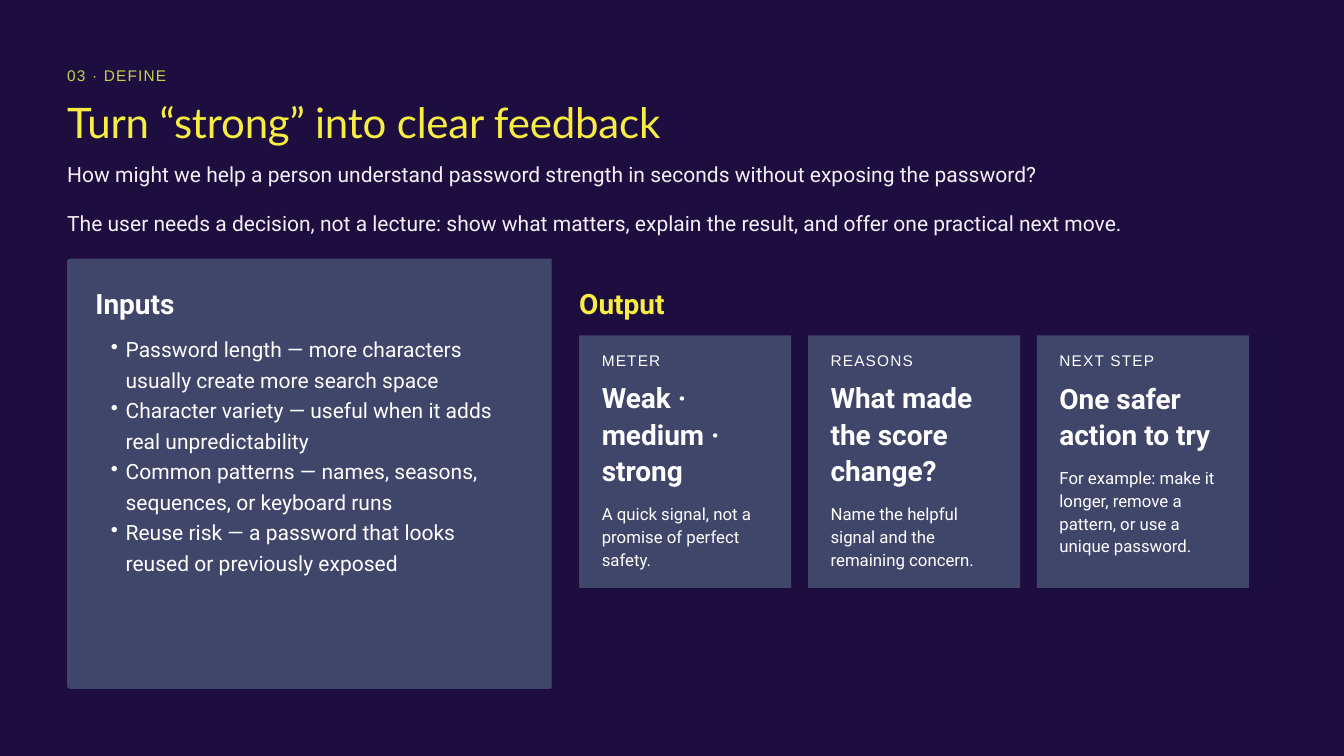
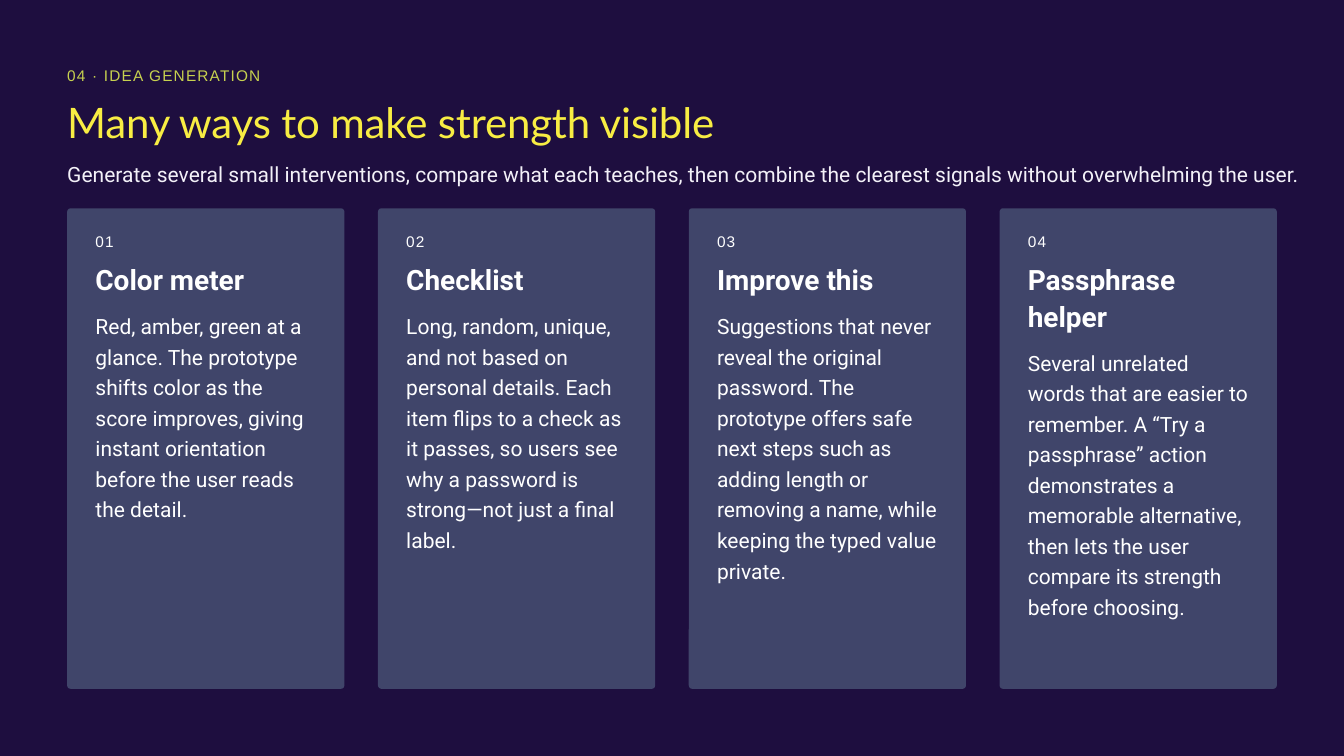
import pptx
import pptx.util
import pptx.dml.color
import pptx.enum.shapes
import pptx.enum.text
import lxml.etree
from pptx.oxml.ns import qn

Inches = pptx.util.Inches
Pt = pptx.util.Pt
Shape = pptx.enum.shapes.MSO_SHAPE
Color = pptx.dml.color.RGBColor.from_string

NIGHT, SLATE, YELLOW = "1E0E3F", "40456A", "F8ED43"
LIME, PALE, WHITE = "C7D14F", "F3F1F8", "FFFFFF"

LABEL = dict(size=16.5, font="Arial", lead=19.8, track=130)
TITLE = dict(size=45, font="Lato", lead=47.5, track=-20, color=YELLOW)
HEAD = dict(size=30, lead=38.9, bold=True)
BODY = dict(size=22.5, lead=32.7)
SMALL = dict(size=18, lead=24.4)


def write(slide, text, left, top, width, height, size, lead, font="Roboto",
          color=WHITE, bold=False, track=0, bullet=False):
    box = slide.shapes.add_textbox(Inches(left), Inches(top), Inches(width), Inches(height))
    frame = box.text_frame
    frame.word_wrap = True
    frame.auto_size = pptx.enum.text.MSO_AUTO_SIZE.SHAPE_TO_FIT_TEXT
    frame.margin_left = frame.margin_right = frame.margin_top = frame.margin_bottom = 0
    frame.text = text
    for para in frame.paragraphs:
        para.line_spacing = Pt(lead)
        if bullet:
            para.level = 1
            props = para._p.get_or_add_pPr()
            props.set("marL", str(Inches(0.45)))
            props.set("indent", str(Inches(-0.22)))
            lxml.etree.SubElement(props, qn("a:buChar")).set("char", "•")
        for run in para.runs:
            run.font.size = Pt(size)
            run.font.name = font
            run.font.bold = bold
            run.font.color.rgb = Color(color)
            if track:
                run._r.get_or_add_rPr().set("spc", str(track))


def panel(slide, left, top, width, height, round=0):
    kind = Shape.ROUNDED_RECTANGLE if round else Shape.RECTANGLE
    shape = slide.shapes.add_shape(kind, Inches(left), Inches(top), Inches(width), Inches(height))
    if round:
        shape.adjustments[0] = round / min(width, height)
    shape.shadow.inherit = False
    shape.fill.solid()
    shape.fill.fore_color.rgb = Color(SLATE)
    shape.line.fill.background()


deck = pptx.Presentation()
deck.slide_width = Inches(20)
deck.slide_height = Inches(11.25)

pages = [
    ("03 · DEFINE", "Turn “strong” into clear feedback", [
        "How might we help a person understand password strength in seconds without exposing the password?",
        "The user needs a decision, not a lecture: show what matters, explain the result, and offer one practical next move.",
    ]),
    ("04 · IDEA GENERATION", "Many ways to make strength visible", [
        "Generate several small interventions, compare what each teaches, then combine the clearest signals without overwhelming the user.",
    ]),
]
slides = []
for label, title, intro in pages:
    slide = deck.slides.add_slide(deck.slide_layouts[6])
    slide.background.fill.solid()
    slide.background.fill.fore_color.rgb = Color(NIGHT)
    write(slide, label, 1, 0.98, 19, 0.3, color=LIME, **LABEL)
    write(slide, title, 1, 1.52, 18, 0.58, **TITLE)
    for row, text in enumerate(intro):
        write(slide, text, 1, 2.32 + 0.73 * row, 19, 0.52, color=PALE, **BODY)
    slides.append(slide)
define, ideas = slides

inputs = [
    "Password length — more characters usually create more search space",
    "Character variety — useful when it adds real unpredictability",
    "Common patterns — names, seasons, sequences, or keyboard runs",
    "Reuse risk — a password that looks reused or previously exposed",
]
panel(define, 1, 3.85, 7.2, 6.4, round=0.04)
panel(define, 8.15, 3.85, 0.06, 6.4)
write(define, "Inputs", 1.42, 4.22, 6.37, 0.58, **HEAD)
write(define, "\n".join(inputs), 1.42, 4.93, 6.37, 3.92, bullet=True, **BODY)
write(define, "Output", 8.62, 4.22, 9.97, 0.58, **{**HEAD, "color": YELLOW})

outputs = [
    ("METER", "Weak · medium · strong", 3, "A quick signal, not a promise of perfect safety.", 3),
    ("REASONS", "What made the score change?", 3, "Name the helpful signal and the remaining concern.", 3),
    ("NEXT STEP", "One safer action to try", 2,
     "For example: make it longer, remove a pattern, or use a unique password.", 4),
]
wide, gap = 3.155, 0.25
for col, (label, head, rows, text, lines) in enumerate(outputs):
    left = 8.62 + col * (wide + gap)
    inner = left + 0.335
    panel(define, left, 4.99, wide, 3.76)
    write(define, label, inner, 5.22, 2.82, 0.3, **LABEL)
    write(define, head, inner, 5.63, 2.49, 0.04 + 0.54 * rows, **HEAD)
    write(define, text, inner, 5.84 + 0.54 * rows, 2.49, 0.03 + 0.34 * lines, **SMALL)

cards = [
    ("Color meter", 1,
     "Red, amber, green at a glance. The prototype shifts color as the score improves, "
     "giving instant orientation before the user reads the detail.", 6),
    ("Checklist", 1,
     "Long, random, unique, and not based on personal details. Each item flips to a check "
     "as it passes, so users see why a password is strong—not just a final label.", 8),
    ("Improve this", 1,
     "Suggestions that never reveal the original password. The prototype offers safe next "
     "steps such as adding length or removing a name, while keeping the typed value private.", 9),
    ("Passphrase helper", 2,
     "Several unrelated words that are easier to remember. A “Try a passphrase” action "
     "demonstrates a memorable alternative, then lets the user compare its strength "
     "before choosing.", 9),
]
gap = 0.5
wide = (18 - 3 * gap) / 4
for col, (head, rows, text, lines) in enumerate(cards):
    left = 1 + col * (wide + gap)
    inner = left + 0.42
    panel(ideas, left, 3.1, wide, 7.15, round=0.05)
    write(ideas, f"{col + 1:02}", inner, 3.46, 3.71, 0.3, **LABEL)
    write(ideas, head, inner, 3.87, 3.29, 0.04 + 0.54 * rows, **HEAD)
    write(ideas, text, inner, 4.05 + 0.54 * rows, 3.29, 0.06 + 0.45 * lines, **BODY)

deck.save("out.pptx")
